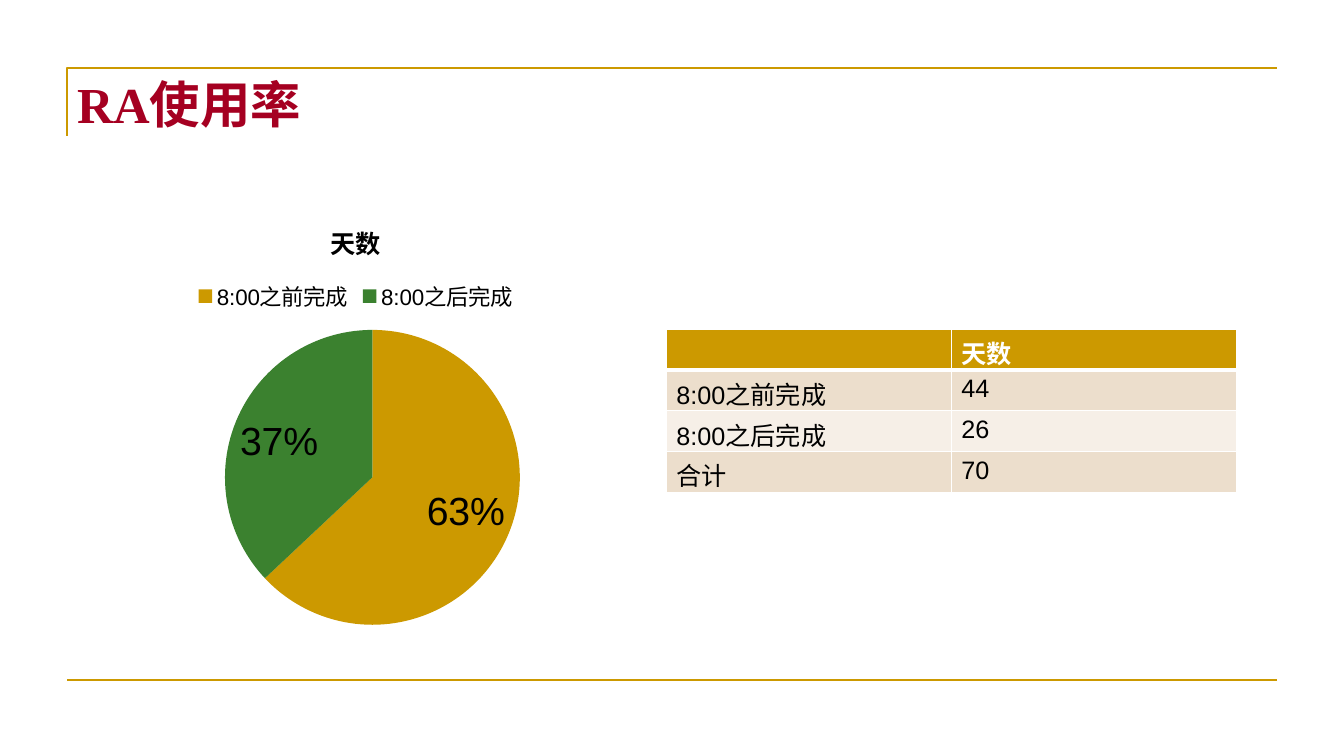
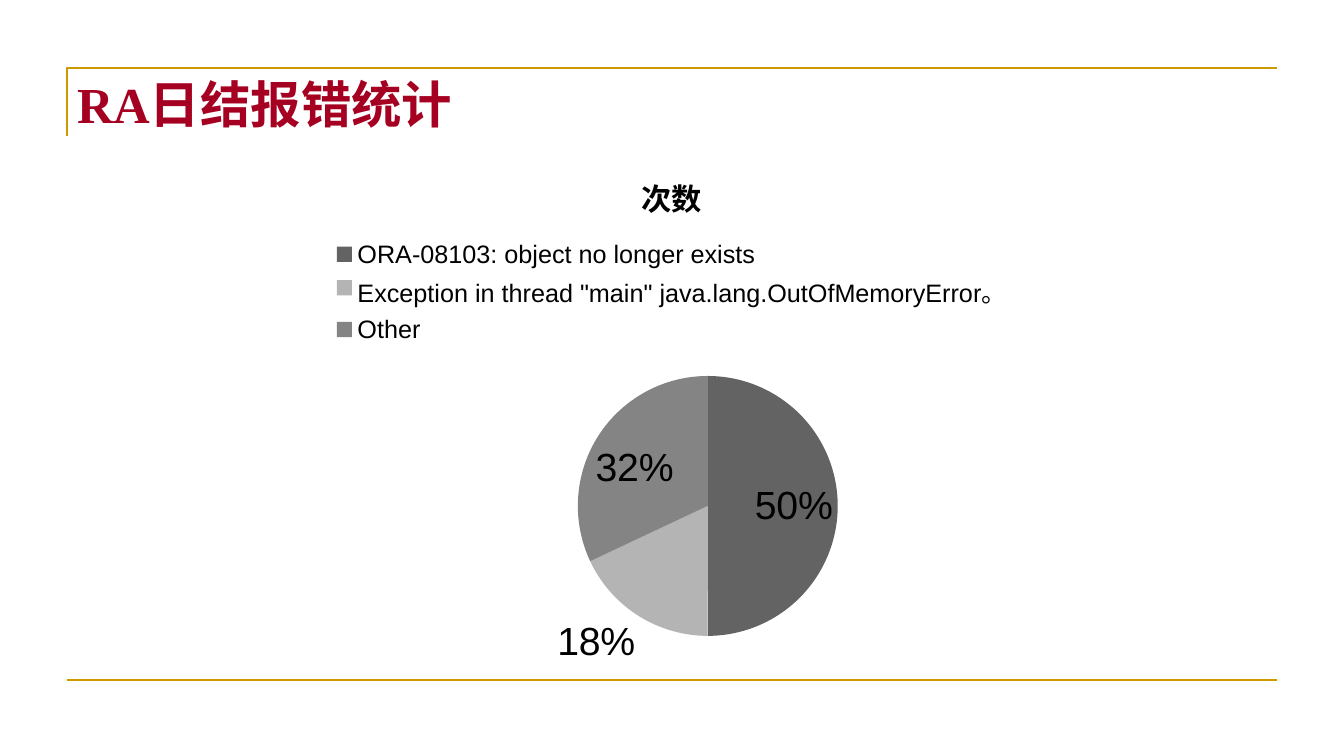
from lxml import etree
from pptx import Presentation
from pptx.chart.data import CategoryChartData
from pptx.dml.color import RGBColor
from pptx.enum.chart import XL_CHART_TYPE, XL_LABEL_POSITION, XL_LEGEND_POSITION
from pptx.enum.shapes import MSO_CONNECTOR
from pptx.enum.text import MSO_ANCHOR
from pptx.oxml import parse_xml
from pptx.oxml.ns import nsdecls, qn
from pptx.util import Pt

PIE = XL_CHART_TYPE.PIE
BEST_FIT = XL_LABEL_POSITION.BEST_FIT
LEGEND_TOP = XL_LEGEND_POSITION.TOP
STRAIGHT = MSO_CONNECTOR.STRAIGHT
TOP = MSO_ANCHOR.TOP

COLORS = {
    "gold": "CC9900", "green": "3B812F", "title": "A50021", "text": "000000",
    "white": "FFFFFF", "band": "ECDECC", "pale": "F6EFE7",
    "dark": "636363", "light": "B4B4B4", "middle": "848484",
}
HEADING_FONT, BODY_FONT = "Times New Roman", "Arial"
LEFT, RIGHT, RULE_TOP, RULE_BOTTOM = 48, 912, 48.7, 486

# Content: boxes are (left, top, width, height), pies (left, top, diameter)
SLIDES = [
    {
        "title": "RA使用率",
        "chart": {
            "name": "天数", "box": (66, 144, 376, 343), "pie": (160.7, 235.7, 210.7),
            "title_size": 18, "legend_size": 16,
            "slices": [("8:00之前完成", 63, "gold"), ("8:00之后完成", 37, "green")],
        },
        "table": {
            "box": (476, 235, 407, 116.8),
            "rows": [("", "天数"), ("8:00之前完成", "44"),
                     ("8:00之后完成", "26"), ("合计", "70")],
        },
    },
    {
        "title": "RA日结报错统计",
        "chart": {
            "name": "次数", "box": (48, 106.6, 864, 384.5), "pie": (412.8, 268.6, 185.7),
            "title_size": 21.6, "legend_size": 18,
            "slices": [
                ("ORA-08103: object no longer exists", 50, "dark"),
                ('Exception in thread "main" java.lang.OutOfMemoryError。', 18, "light"),
                ("Other", 32, "middle"),
            ],
        },
    },
]


def color(name):
    return RGBColor.from_string(COLORS[name])


def style_font(font, size, name="text", bold=False, face=BODY_FONT):
    font.size, font.bold, font.name = Pt(size), bold, face
    font.color.rgb = color(name)


def style_rule(shape):
    shape.line.color.rgb = color("gold")
    shape.line.width = Pt(1.5)


def add_frame(page, title):
    """Corner rule, bottom rule and title shared by all slides."""
    builder = page.shapes.build_freeform(Pt(LEFT), Pt(RULE_TOP + 48.3))
    builder.add_line_segments(
        [(Pt(LEFT), Pt(RULE_TOP)), (Pt(RIGHT), Pt(RULE_TOP))], close=False)
    corner = builder.convert_to_shape()
    corner.shadow.inherit = False
    corner.fill.background()
    style_rule(corner)

    rule = page.shapes.add_connector(
        STRAIGHT, Pt(LEFT), Pt(RULE_BOTTOM), Pt(RIGHT), Pt(RULE_BOTTOM))
    style_rule(rule)
    etree.SubElement(rule.element.spPr, qn("a:effectLst"))

    box = page.shapes.add_textbox(Pt(LEFT), Pt(RULE_TOP), Pt(RIGHT - LEFT), Pt(90))
    frame = box.text_frame
    frame.word_wrap = True
    frame.vertical_anchor = TOP
    frame.text = title
    style_font(frame.paragraphs[0].runs[0].font, 36, "title", True, HEADING_FONT)


def place_pie(chart, box, pie):
    """Fix the plot area so that the pie fills the given square."""
    left, top, width, height = box
    x, y, diameter = pie
    fractions = {"x": (x - left) / width, "y": (y - top) / height,
                 "w": diameter / width, "h": diameter / height}
    values = "".join(f'<c:{key} val="{value:.4f}"/>' for key, value in fractions.items())
    layout = parse_xml(
        f'<c:layout {nsdecls("c")}><c:manualLayout><c:layoutTarget val="inner"/>'
        f'<c:xMode val="edge"/><c:yMode val="edge"/>{values}</c:manualLayout></c:layout>')
    plot_area = chart.element.chart.plotArea
    for old in plot_area.findall(qn("c:layout")):
        plot_area.remove(old)
    plot_area.insert(0, layout)


def add_pie(page, name, box, pie, title_size, legend_size, slices):
    data = CategoryChartData()
    data.categories = [label for label, _, _ in slices]
    data.add_series(name, [value for _, value, _ in slices])
    chart = page.shapes.add_chart(PIE, *map(Pt, box), data).chart
    style_font(chart.font, legend_size)

    chart.has_title = True
    heading = chart.chart_title.text_frame
    heading.text = name
    style_font(heading.paragraphs[0].runs[0].font, title_size, bold=True)

    chart.has_legend = True
    chart.legend.position = LEGEND_TOP
    chart.legend.include_in_layout = False
    style_font(chart.legend.font, legend_size)

    plot = chart.plots[0]
    plot.vary_by_categories = True
    for index, (_, _, fill) in enumerate(slices):
        wedge = plot.series[0].points[index].format
        wedge.fill.solid()
        wedge.fill.fore_color.rgb = color(fill)
        wedge.line.fill.background()
    labels = plot.series[0].data_labels
    labels.show_value = False
    labels.show_percentage = True
    labels.number_format, labels.number_format_is_linked = "0%", False
    labels.position = BEST_FIT
    style_font(labels.font, 28)
    place_pie(chart, box, pie)


def set_borders(cell, bottom):
    properties = cell._tc.get_or_add_tcPr()
    widths = {"lnL": 1, "lnR": 1, "lnT": 1, "lnB": bottom}
    for index, (side, width) in enumerate(widths.items()):
        properties.insert(index, parse_xml(
            f'<a:{side} {nsdecls("a")} w="{Pt(width)}"><a:solidFill>'
            f'<a:srgbClr val="{COLORS["white"]}"/></a:solidFill></a:{side}>'))


def add_grid(page, box, rows):
    table = page.shapes.add_table(len(rows), len(rows[0]), *map(Pt, box)).table
    for row_index, row in enumerate(rows):
        header = row_index == 0
        fill = "gold" if header else "band" if row_index % 2 else "pale"
        for column_index, text in enumerate(row):
            cell = table.cell(row_index, column_index)
            cell.text = text
            cell.fill.solid()
            cell.fill.fore_color.rgb = color(fill)
            style_font(cell.text_frame.paragraphs[0].font, 18)
            for span in cell.text_frame.paragraphs[0].runs:
                style_font(span.font, 18, "white" if header else "text", header)
            set_borders(cell, 3 if header else 1)


def main():
    deck = Presentation()
    deck.slide_width, deck.slide_height = Pt(960), Pt(540)
    for content in SLIDES:
        page = deck.slides.add_slide(deck.slide_layouts[6])
        add_frame(page, content["title"])
        add_pie(page, **content["chart"])
        if "table" in content:
            add_grid(page, **content["table"])
    deck.save("out.pptx")


if __name__ == "__main__":
    main()
